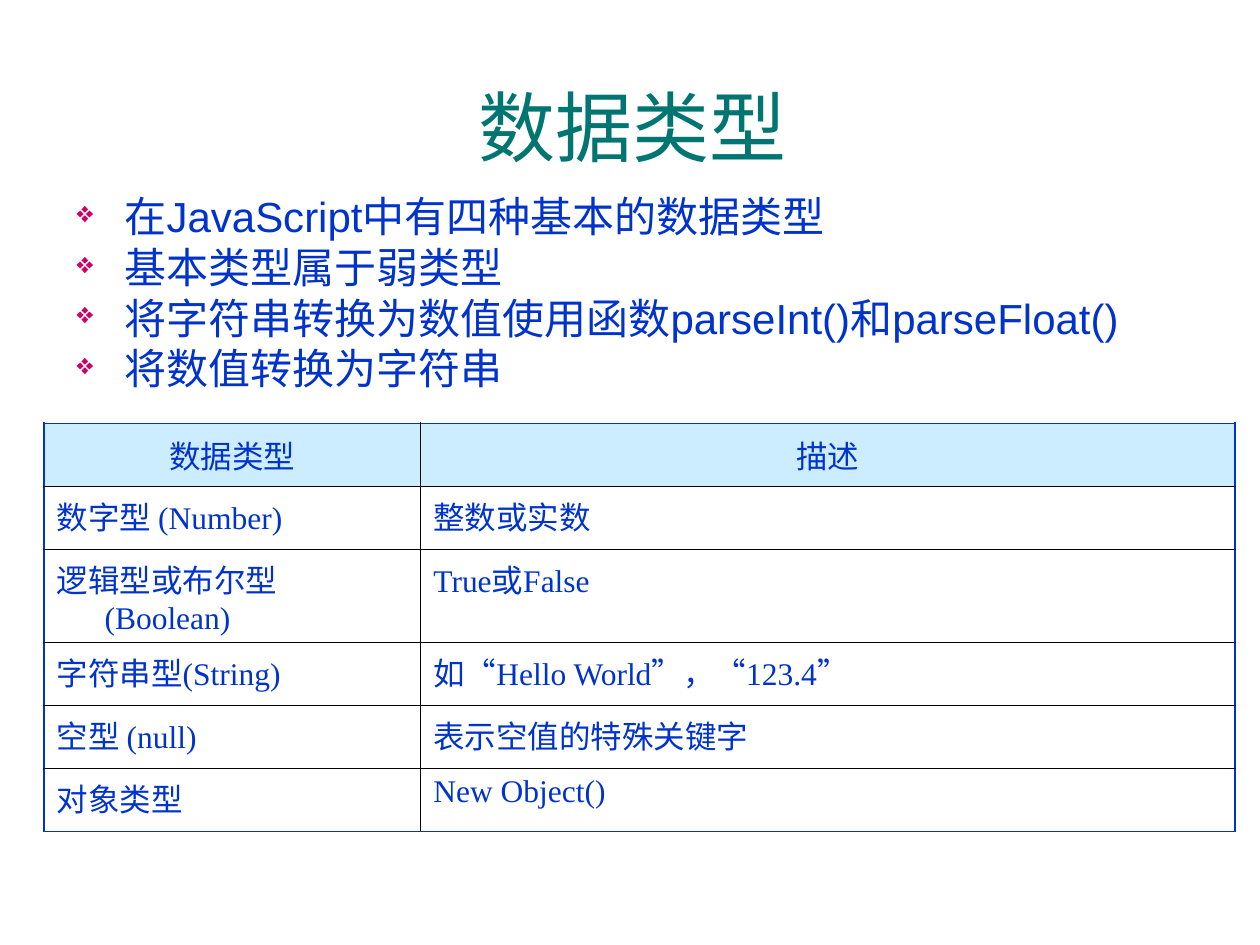
from dataclasses import dataclass

from lxml.etree import SubElement
from pptx import Presentation
from pptx.dml.color import RGBColor
from pptx.enum.text import MSO_ANCHOR, PP_ALIGN
from pptx.oxml import parse_xml
from pptx.oxml.ns import nsdecls, qn
from pptx.util import Inches, Pt


@dataclass(frozen=True)
class Theme:
    """Colours, fonts and type sizes of the slide."""

    title_color: str = "007572"
    text_color: str = "0033CC"
    bullet_color: str = "CC0066"
    header_fill: str = "CCECFF"
    grid_color: str = "000000"
    heading_font: str = "Arial"
    table_font: str = "Times New Roman"
    title_size: int = 44
    bullet_size: int = 24
    table_size: int = 18
    outer_width: float = 1.08
    inner_width: float = 0.45
    hanging: float = 0.38


THEME = Theme()
TITLE = "数据类型"
BULLETS = (
    "在JavaScript中有四种基本的数据类型",
    "基本类型属于弱类型",
    "将字符串转换为数值使用函数parseInt()和parseFloat()",
    "将数值转换为字符串",
)
COLUMN_WIDTHS = (2.99, 6.46)
ROW_HEIGHT = 0.5
TALL_ROW_HEIGHT = 0.74
TALL_ROW = 2
ROWS = (
    ("数据类型", "描述"),
    ("数字型 (Number)", "整数或实数"),
    ("逻辑型或布尔型 (Boolean)", "True或False"),
    ("字符串型(String)", "如“Hello World”，“123.4”"),
    ("空型 (null)", "表示空值的特殊关键字"),
    ("对象类型", "New Object()"),
)


def apply_format(target, values):
    """Set each named attribute of the target."""
    for name, value in values.items():
        setattr(target, name, value)


def place(shape, left, top, width, height):
    """Position a shape by lengths in inches."""
    names = ("left", "top", "width", "height")
    apply_format(shape, dict(zip(names, map(Inches, (left, top, width, height)))))


def format_font(paragraph, name, size, color):
    """Give a paragraph its typeface, size and colour."""
    apply_format(paragraph.font, {"name": name, "size": Pt(size), "bold": False})
    paragraph.font.color.rgb = RGBColor.from_string(color)


def hang_indent(paragraph):
    """Apply the shared hanging indent and return the paragraph properties."""
    properties = paragraph._p.get_or_add_pPr()
    properties.set("marL", str(Inches(THEME.hanging)))
    properties.set("indent", str(-Inches(THEME.hanging)))
    return properties


def add_title(slide):
    """Fill and format the title placeholder."""
    title = slide.shapes.title
    place(title, 0.35, 0.37, 9.34, 1.25)
    title.text_frame.text = TITLE
    title.text_frame.vertical_anchor = MSO_ANCHOR.MIDDLE
    paragraph = title.text_frame.paragraphs[0]
    paragraph.alignment = PP_ALIGN.CENTER
    format_font(paragraph, THEME.heading_font, THEME.title_size, THEME.title_color)


def add_bullet(paragraph):
    """Add the coloured diamond bullet to a paragraph."""
    properties = hang_indent(paragraph)
    color = SubElement(properties, qn("a:buClr"))
    SubElement(color, qn("a:srgbClr"), val=THEME.bullet_color)
    SubElement(properties, qn("a:buSzPct"), val="70000")
    SubElement(properties, qn("a:buChar"), char="❖")


def add_bullet_list(slide):
    """Write the bulleted statements above the table."""
    frame = slide.shapes.add_textbox(*map(Inches, (0.51, 1.54, 9.21, 1.73))).text_frame
    frame.word_wrap = True
    frame.text = "\n".join(BULLETS)
    for index, paragraph in enumerate(frame.paragraphs):
        add_bullet(paragraph)
        apply_format(paragraph, {"line_spacing": 0.8, "space_before": Pt(6 if index else 0)})
        format_font(paragraph, THEME.heading_font, THEME.bullet_size, THEME.text_color)


def set_borders(cell, outer_sides):
    """Draw blue lines on the outer sides of a cell and thin black ones elsewhere."""
    properties = cell._tc.get_or_add_tcPr()
    for index, side in enumerate("LRTB"):
        outer = side in outer_sides
        color = THEME.text_color if outer else THEME.grid_color
        width = Pt(THEME.outer_width if outer else THEME.inner_width)
        line = parse_xml(
            f'<a:ln{side} {nsdecls("a")} w="{width}"><a:solidFill>'
            f'<a:srgbClr val="{color}"/></a:solidFill></a:ln{side}>'
        )
        properties.insert(index, line)


def format_cell(cell, text, is_header, font_name):
    """Write one table cell as a header or a body cell."""
    cell.text = text
    paragraph = cell.text_frame.paragraphs[0]
    hang_indent(paragraph)
    format_font(paragraph, font_name, THEME.table_size, THEME.text_color)
    if is_header:
        cell.fill.solid()
        cell.fill.fore_color.rgb = RGBColor.from_string(THEME.header_fill)
        cell.vertical_anchor = MSO_ANCHOR.MIDDLE
        paragraph.alignment = PP_ALIGN.CENTER
    else:
        cell.fill.background()


def add_type_table(slide):
    """Add the table of data types and their descriptions."""
    heights = [TALL_ROW_HEIGHT if row == TALL_ROW else ROW_HEIGHT for row in range(len(ROWS))]
    area = map(Inches, (0.35, 3.36, sum(COLUMN_WIDTHS), sum(heights)))
    table = slide.shapes.add_table(len(ROWS), len(COLUMN_WIDTHS), *area).table
    apply_format(table, {"first_row": False, "horz_banding": False})
    for column, width in zip(table.columns, COLUMN_WIDTHS):
        column.width = Inches(width)
    last_row = len(ROWS) - 1
    for row_index, texts in enumerate(ROWS):
        table.rows[row_index].height = Inches(heights[row_index])
        row_side = {0: "T", last_row: "B"}.get(row_index, "")
        for column_index, text in enumerate(texts):
            cell = table.cell(row_index, column_index)
            is_last_type = row_index == last_row and column_index == 0
            font_name = THEME.heading_font if is_last_type else THEME.table_font
            format_cell(cell, text, row_index == 0, font_name)
            set_borders(cell, "LR"[column_index] + row_side)


def main():
    """Build and save the slide."""
    presentation = Presentation()
    apply_format(presentation, {"slide_width": Inches(10), "slide_height": Inches(7.5)})
    slide = presentation.slides.add_slide(presentation.slide_layouts[5])
    add_title(slide)
    add_bullet_list(slide)
    add_type_table(slide)
    presentation.save("out.pptx")


if __name__ == "__main__":
    main()
